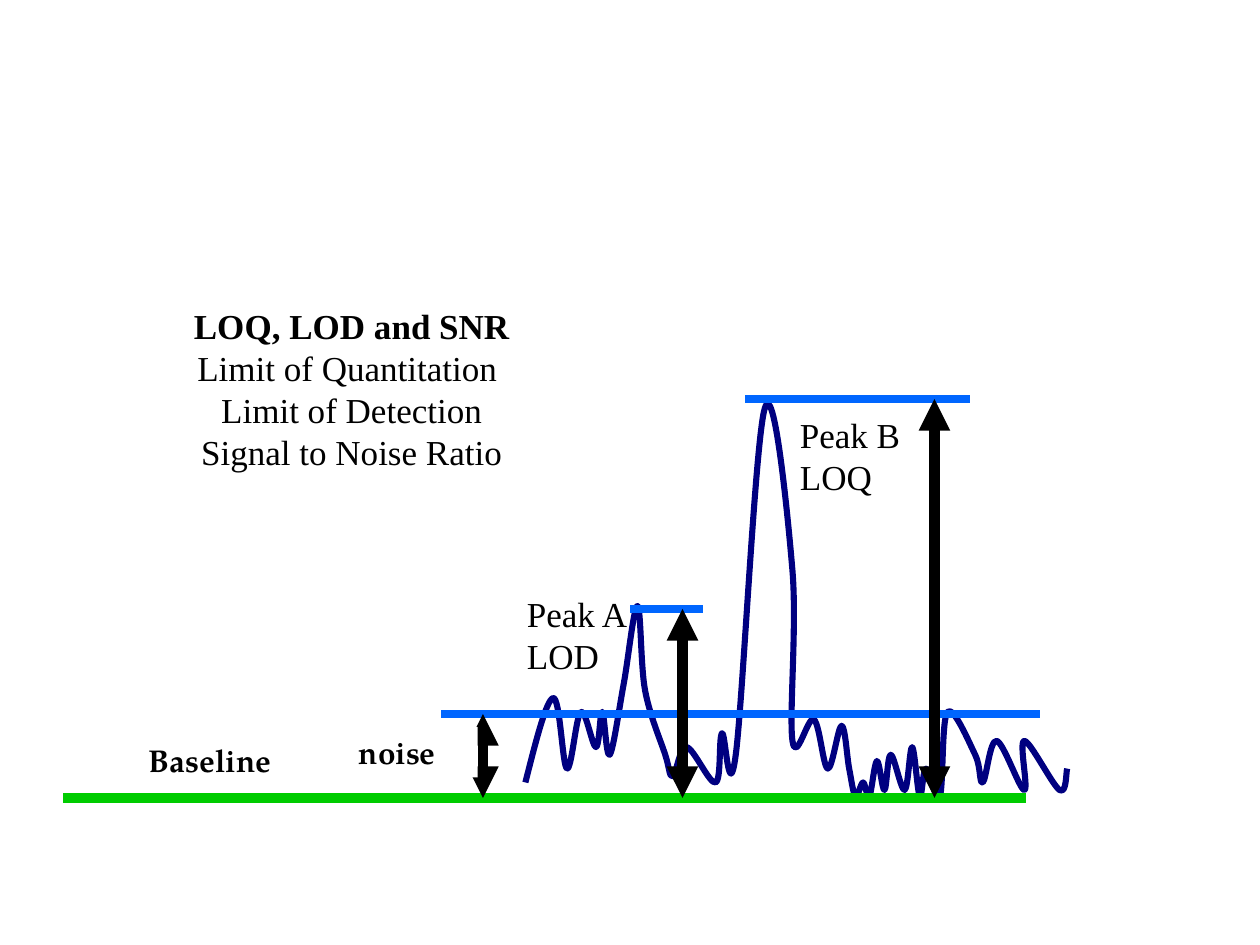
import pptx
import pptx.util
import pptx.dml.color
import pptx.enum.shapes
import pptx.enum.text
import pptx.oxml.ns
import pptx.oxml.xmlchemy

RGBColor = pptx.dml.color.RGBColor
BLACK = RGBColor(0x00, 0x00, 0x00)
WHITE = RGBColor(0xFF, 0xFF, 0xFF)
NAVY = RGBColor(0x00, 0x00, 0x80)
BLUE = RGBColor(0x00, 0x66, 0xFF)
GREEN = RGBColor(0x00, 0xCC, 0x00)

SERIF = "Times New Roman"
LABEL_FONT = "TeX Gyre Pagella"

# Grid rows of the signal levels, twelve to the inch
BASELINE, NOISE, PEAK_A, PEAK_B = 76, 68, 58, 38

# Turning points of the detector signal, in inches
SIGNAL = [
    (4.17, 6.21), (4.39, 5.54), (4.5, 6.1), (4.61, 5.65), (4.73, 5.93),
    (4.78, 5.65), (4.84, 5.99), (4.95, 5.43), (5.06, 4.81), (5.12, 5.48),
    (5.28, 5.99), (5.34, 6.16), (5.45, 5.93), (5.68, 6.21), (5.73, 5.82),
    (5.84, 5.99), (6.07, 3.24), (6.29, 4.53), (6.29, 5.88), (6.46, 5.71),
    (6.57, 6.1), (6.68, 5.76), (6.74, 6.1), (6.79, 6.32), (6.85, 6.21),
    (6.9, 6.32), (6.96, 6.04), (7.02, 6.27), (7.07, 5.99), (7.18, 6.27),
    (7.24, 5.93), (7.3, 6.32), (7.35, 6.1), (7.46, 6.32), (7.52, 5.65),
    (7.74, 5.99), (7.8, 6.21), (7.91, 5.88), (8.13, 6.27), (8.13, 5.88),
    (8.41, 6.27), (8.47, 6.1),
]


def grid(units):
    """Length of a number of grid columns or rows."""
    return pptx.util.Inches(units / 12)


def new_element(tag):
    return pptx.oxml.xmlchemy.OxmlElement(tag)


def write_lines(text_frame, lines, font_name, size, alignment):
    """Write (text, bold) lines into one paragraph, one run per line."""
    paragraph = text_frame.paragraphs[0]
    paragraph.alignment = alignment
    paragraph.space_before = pptx.util.Pt(0)
    paragraph.line_spacing = pptx.util.Pt(size * 1.2)
    for index, (text, bold) in enumerate(lines):
        if index:
            paragraph.add_line_break()
        run = paragraph.add_run()
        run.text = text
        run.font.name = font_name
        run.font.size = pptx.util.Pt(size)
        run.font.bold = bold
        run.font.color.rgb = BLACK


def add_title(slide):
    title = slide.shapes.title
    title.left, title.top = grid(11), grid(21)
    title.width, title.height = grid(45), grid(32)
    title.text_frame.word_wrap = True
    title.text_frame.vertical_anchor = pptx.enum.text.MSO_ANCHOR.MIDDLE
    lines = [("LOQ, LOD and SNR", True), ("Limit of Quantitation ", False),
             ("Limit of Detection", False), ("Signal to Noise Ratio", False)]
    write_lines(title.text_frame, lines, SERIF, 20,
                pptx.enum.text.PP_ALIGN.CENTER)


def add_label(slide, box, lines, font_name, size, bold=False, fill=None):
    shape = slide.shapes.add_textbox(*[grid(units) for units in box])
    shape.text_frame.word_wrap = True
    if fill is not None:
        shape.fill.solid()
        shape.fill.fore_color.rgb = fill
    write_lines(shape.text_frame, [(line, bold) for line in lines],
                font_name, size, pptx.enum.text.PP_ALIGN.LEFT)


def add_line(slide, start, end, color, width, arrows=False):
    connector = slide.shapes.add_connector(
        pptx.enum.shapes.MSO_CONNECTOR.STRAIGHT,
        *[grid(units) for units in start + end])
    connector.line.color.rgb = color
    connector.line.width = pptx.util.Pt(width)
    if arrows:
        line = connector.line._get_or_add_ln()
        for tag in ("a:headEnd", "a:tailEnd"):
            arrowhead = new_element(tag)
            arrowhead.set("type", "triangle")
            line.append(arrowhead)
    connector._element.spPr.append(new_element("a:effectLst"))


def add_level(slide, row, left, right, color=BLUE, width=4.5):
    add_line(slide, (left, row), (right, row), color, width)


def add_height_arrow(slide, column, row):
    add_line(slide, (column, row), (column, BASELINE), BLACK, 6, arrows=True)


def control_points(points, index):
    """Catmull-Rom control points of the segment that ends at index."""
    def tangent(middle):
        before = points[max(middle - 1, 0)]
        after = points[min(middle + 1, len(points) - 1)]
        return [(b - a) / 6 for a, b in zip(before, after)]

    start, end = points[index - 1], points[index]
    first = [p + t for p, t in zip(start, tangent(index - 1))]
    second = [p - t for p, t in zip(end, tangent(index))]
    if index == 1:
        first = [(p + c) / 2 for p, c in zip(start, second)]
    return first, second


def add_smooth_curve(slide, knots, color, width):
    points = [tuple(pptx.util.Inches(value) for value in knot)
              for knot in knots]
    builder = slide.shapes.build_freeform(*points[0])
    builder.add_line_segments(points[1:], close=False)
    curve = builder.convert_to_shape()
    curve.shadow.inherit = False
    curve.fill.background()
    curve.line.color.rgb = color
    curve.line.width = pptx.util.Pt(width)

    # Bend each straight segment into a cubic one
    left = min(x for x, y in points)
    top = min(y for x, y in points)
    segments = list(curve._element.iter(pptx.oxml.ns.qn("a:lnTo")))
    for index, segment in enumerate(segments, start=1):
        cubic = new_element("a:cubicBezTo")
        for x, y in (*control_points(points, index), points[index]):
            point = new_element("a:pt")
            point.set("x", str(round(x - left)))
            point.set("y", str(round(y - top)))
            cubic.append(point)
        segment.getparent().replace(segment, cubic)


def main():
    presentation = pptx.Presentation()
    presentation.slide_width = pptx.util.Inches(10)
    presentation.slide_height = pptx.util.Inches(7.5)
    slide = presentation.slides.add_slide(presentation.slide_layouts[5])

    add_title(slide)

    # Signal and its levels
    add_smooth_curve(slide, SIGNAL, NAVY, 3.5)
    add_level(slide, BASELINE, 6, 97.7, GREEN, 6)
    add_level(slide, PEAK_A, 60, 67)
    add_level(slide, NOISE, 42, 99)
    add_level(slide, PEAK_B, 71, 92.4)

    # Heights above the baseline
    for column, row in ((89, PEAK_B), (65, PEAK_A), (46, NOISE)):
        add_height_arrow(slide, column, row)

    # Labels
    add_label(slide, (33, 69.25, 12.5, 4.8), ["noise"],
              LABEL_FONT, 18, True, WHITE)
    add_label(slide, (13, 70, 15.1, 4.8), ["Baseline"],
              LABEL_FONT, 18, True, WHITE)
    add_label(slide, (49, 55.8, 16, 9.2), ["Peak A", "LOD"], SERIF, 20)
    add_label(slide, (75, 38.8, 16, 9.2), ["Peak B", "LOQ"], SERIF, 20)

    presentation.save("out.pptx")


if __name__ == "__main__":
    main()
